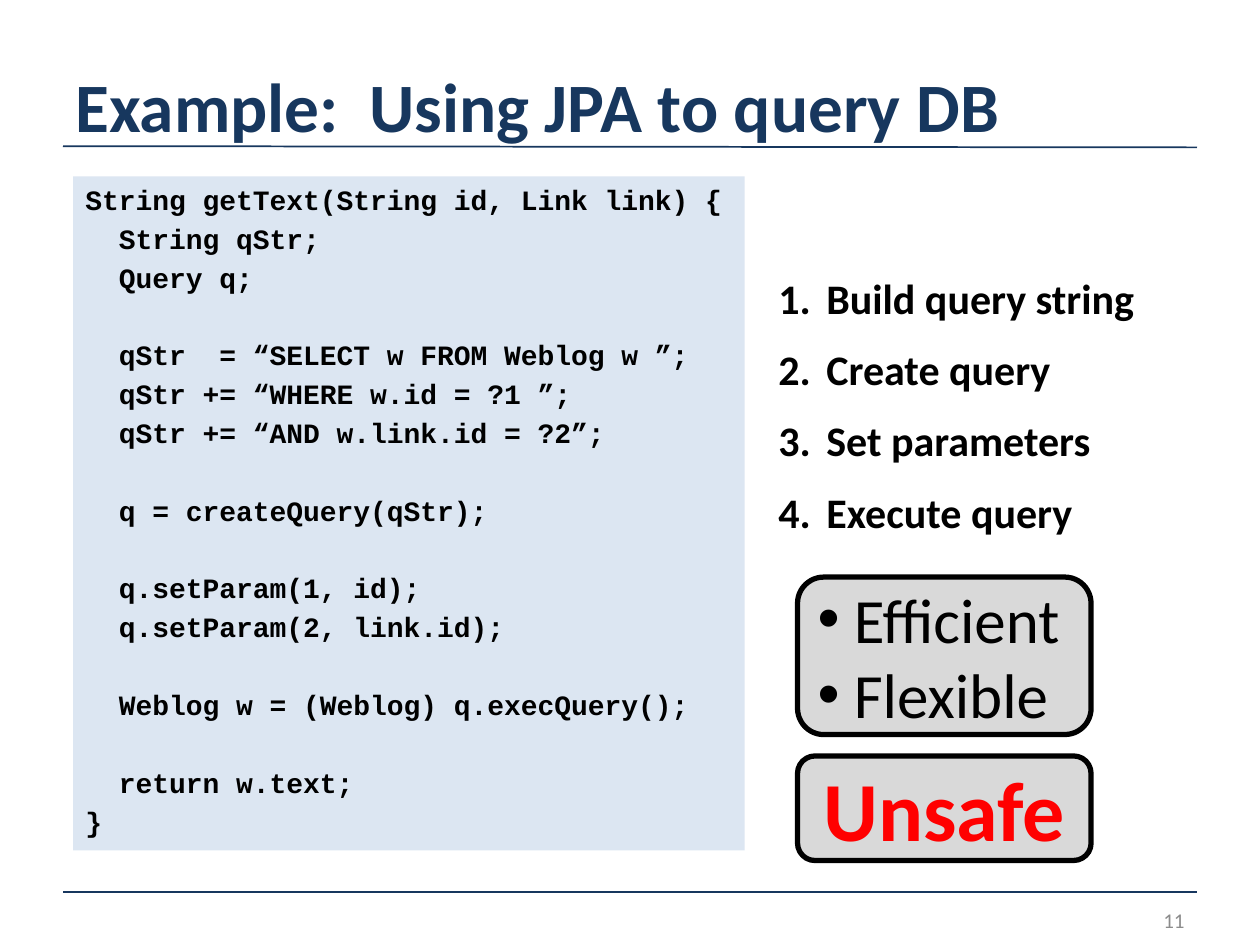
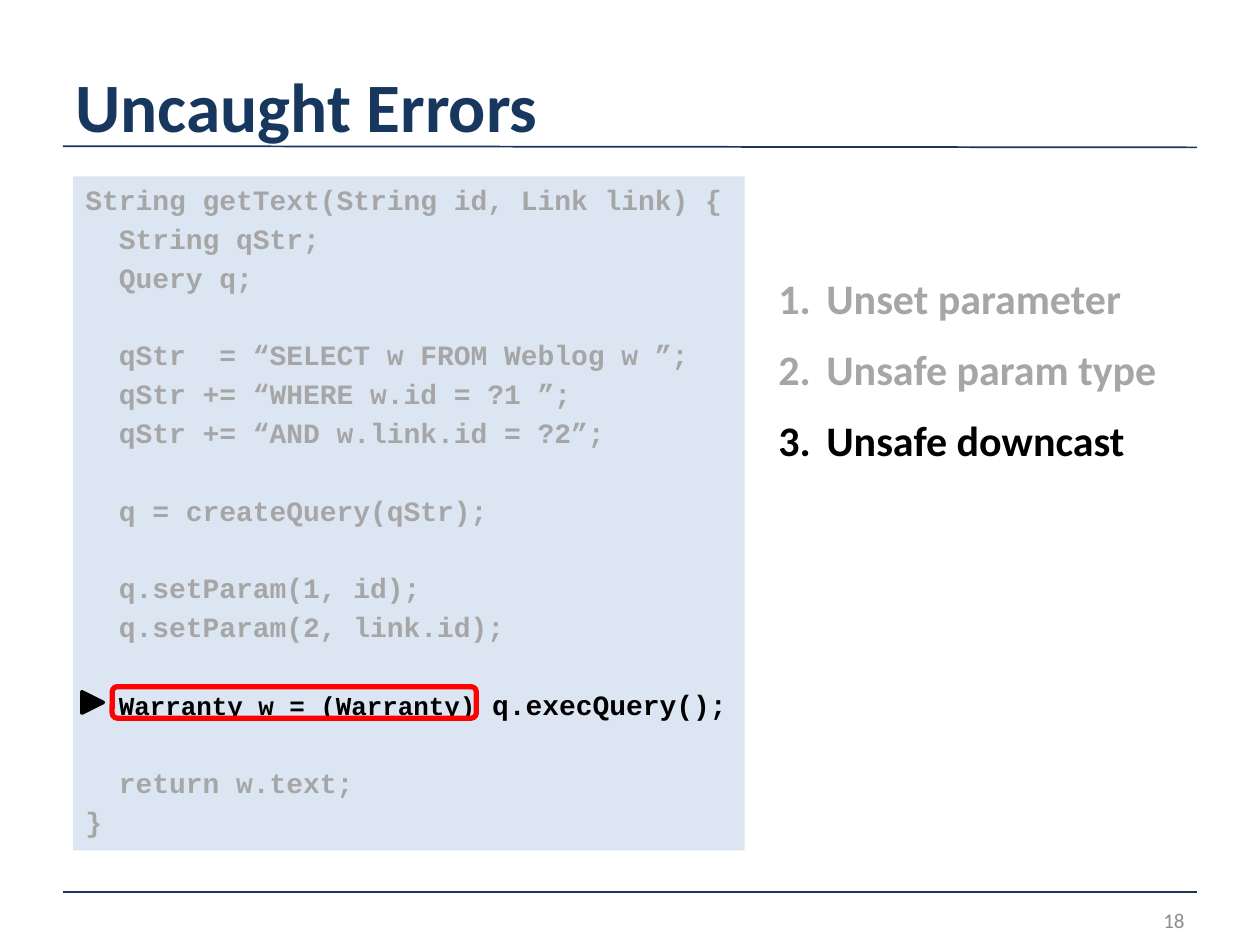
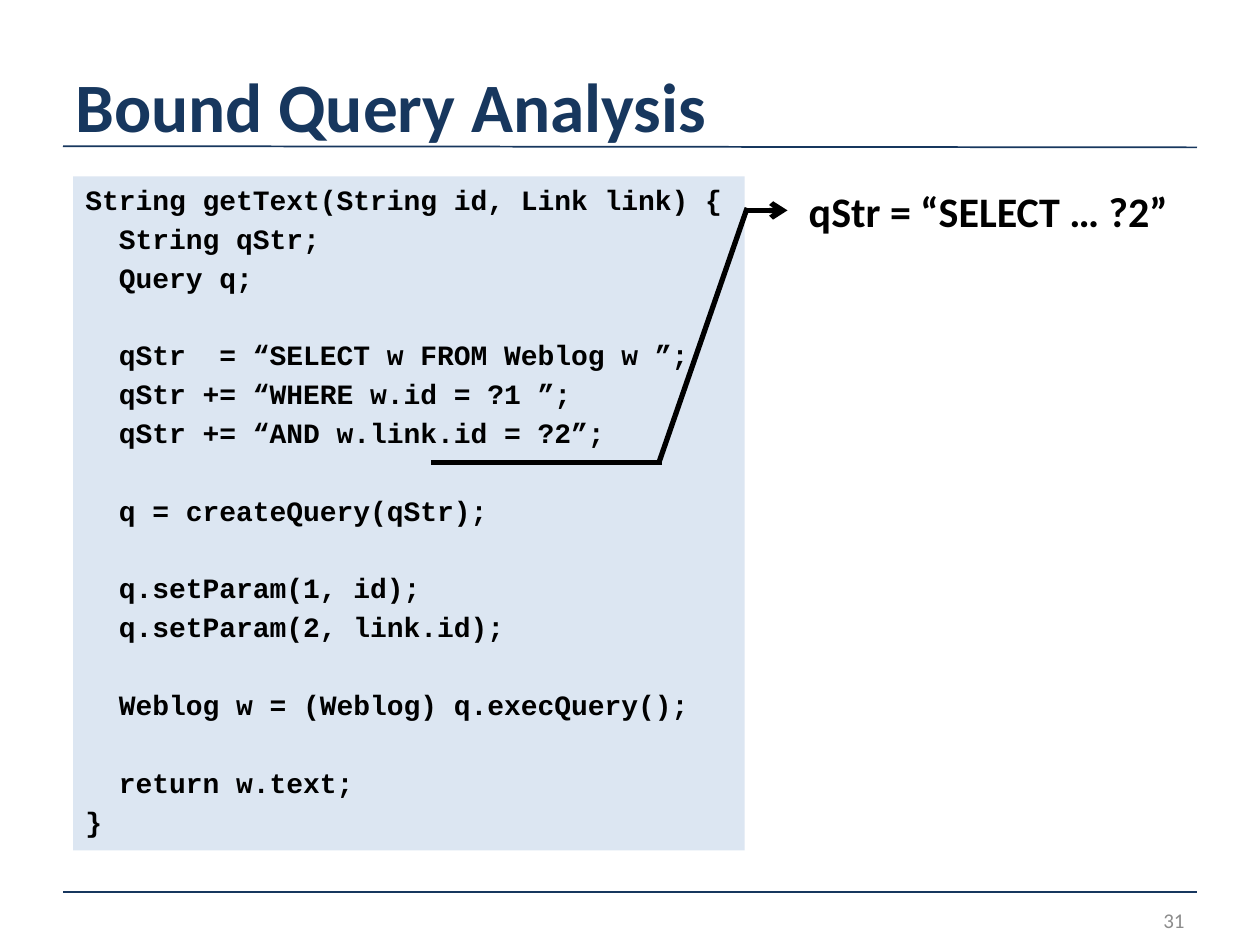
from pptx import Presentation
from pptx.dml.color import RGBColor
from pptx.enum import shapes, text
from pptx.oxml import ns, xmlchemy
from pptx.util import Inches, Pt

NAVY, BLACK, RED = "17375E", "000000", "FF0000"
PALE, SILVER, DIM, GREY = "DCE6F2", "D9D9D9", "A6A6A6", "8C8C8C"
SANS, MONO = "Calibri", "Courier New"
SHAPE, ALIGN, ANCHOR = shapes.MSO_SHAPE, text.PP_ALIGN, text.MSO_ANCHOR

CODE = """String getText(String id, Link link) {
  String qStr;
  Query q;

  qStr  = “SELECT w FROM Weblog w ”;
  qStr += “WHERE w.id = ?1 ”;
  qStr += “AND w.link.id = ?2”;

  q = createQuery(qStr);

  q.setParam(1, id);
  q.setParam(2, link.id);

  Weblog w = (Weblog) q.execQuery();

  return w.text;
}"""
CODE_GAP = 3
CODE_STEP = 22.2  # one code line with its gap, in points


def color(code):
    return RGBColor.from_string(code)


def style(run, size, hue=BLACK, bold=False, face=SANS):
    font = run.font
    font.name, font.size, font.bold = face, Pt(size), bold
    font.color.rgb = color(hue)


def write(par, words, *look, **more):
    run = par.add_run()
    run.text = words
    style(run, *look, **more)


def lines(frame, count):
    """Return the first count paragraphs of an empty frame."""
    for _ in range(count - 1):
        frame.add_paragraph()
    return frame.paragraphs


def label(slide, box, words, *look, align=ALIGN.LEFT, anchor=ANCHOR.MIDDLE,
          wrap=True, **more):
    frame = slide.shapes.add_textbox(*map(Inches, box)).text_frame
    frame.word_wrap, frame.vertical_anchor = wrap, anchor
    par = frame.paragraphs[0]
    par.alignment = align
    write(par, words, *look, **more)


def block(slide, kind, box, fill=None, edge=None, width=3):
    """Add a preset shape with left-aligned text space."""
    item = slide.shapes.add_shape(kind, *map(Inches, box))
    item.shadow.inherit = False
    if fill:
        item.fill.solid()
        item.fill.fore_color.rgb = color(fill)
    else:
        item.fill.background()
    if edge:
        item.line.color.rgb = color(edge)
        item.line.width = Pt(width)
    else:
        item.line.fill.background()
    return item


def stroke(slide, start, end, hue=BLACK, width=3, arrow=False):
    link = slide.shapes.add_connector(
        shapes.MSO_CONNECTOR.STRAIGHT, *map(Inches, start + end))
    link.line.color.rgb = color(hue)
    link.line.width = Pt(width)
    if arrow:
        tail = xmlchemy.OxmlElement("a:tailEnd")
        tail.set("type", "arrow")
        link.line._get_or_add_ln().append(tail)
    link._element.spPr.append(xmlchemy.OxmlElement("a:effectLst"))


def bullet(par, mark=None, indent=0):
    """Give a paragraph a mark, or a number when there is no mark."""
    props = par._p.get_or_add_pPr()
    props.set("marL", str(Inches(indent)))
    props.set("indent", str(-Inches(indent)))
    face = xmlchemy.OxmlElement("a:buFont")
    face.set("typeface", "Arial" if mark else "+mj-lt")
    sign = xmlchemy.OxmlElement("a:buChar" if mark else "a:buAutoNum")
    sign.set("char" if mark else "type", mark or "arabicPeriod")
    props.extend([face, sign])


def page(deck, title, number):
    slide = deck.slides.add_slide(deck.slide_layouts[6])
    stroke(slide, (0.5, 1.16), (9.5, 1.17), NAVY, 1)
    stroke(slide, (0.5, 7.08), (9.5, 7.08), NAVY, 1)
    label(slide, (0.5, 0.5, 9, 0.67), title, 39.6, NAVY, True)
    label(slide, (7.17, 7.1, 2.33, 0.4), str(number), 12, GREY,
          align=ALIGN.RIGHT)
    return slide


def listing(slide, hue=BLACK, swap=None):
    """Show the code; swap replaces one line, by its start, with sized parts."""
    frame = block(slide, SHAPE.RECTANGLE, (0.58, 1.4, 5.33, 5.35),
                  PALE).text_frame
    frame.word_wrap, frame.vertical_anchor = True, ANCHOR.TOP
    rows, gap = [], CODE_GAP
    for row in CODE.split("\n"):
        if row:
            rows.append((row, gap))
            gap = CODE_GAP
        else:
            gap += CODE_STEP
    for par, (row, gap) in zip(lines(frame, len(rows)), rows):
        par.alignment, par.space_before = ALIGN.LEFT, Pt(gap)
        if swap and row.startswith(swap[0]):
            for part, size in swap[1]:
                write(par, part, size, BLACK, True, MONO)
        else:
            write(par, row, 16, hue, True, MONO)


def steps(slide, items, height):
    """Number the items, each a text and its colour."""
    box = slide.shapes.add_textbox(*map(Inches, (6.08, 2.11, 3.42, height)))
    frame = box.text_frame
    frame.word_wrap = True
    for par, (words, hue) in zip(lines(frame, len(items)), items):
        par.space_after = Pt(12)
        bullet(par, indent=0.38)
        write(par, words, 24, hue, True)


def verdict(slide, top, height, items, *look, mark=None):
    card = block(slide, SHAPE.ROUNDED_RECTANGLE, (6.33, top, 2.33, height),
                 SILVER, BLACK)
    frame = card.text_frame
    frame.vertical_anchor = ANCHOR.MIDDLE
    for par, words in zip(lines(frame, len(items)), items):
        par.alignment = ALIGN.LEFT if mark else ALIGN.CENTER
        if mark:
            bullet(par, mark)
        write(par, words, *look)


def example(deck):
    slide = page(deck, "Example:  Using JPA to query DB", 11)
    listing(slide)
    tasks = ("Build query string", "Create query", "Set parameters",
             "Execute query")
    steps(slide, [(task, BLACK) for task in tasks], 2.31)
    verdict(slide, 4.58, 1.25, [" Efficient", " Flexible"], 36, mark="•")
    verdict(slide, 6, 0.83, ["Unsafe"], 48, RED, True)


def errors(deck):
    slide = page(deck, "Uncaught Errors", 18)
    parts = [("  ", 16), ("Warranty w = (Warranty)", 14.8),
             (" q.execQuery();", 16)]
    listing(slide, DIM, ("  Weblog", parts))
    steps(slide, [("Unset parameter", DIM), ("Unsafe param type", DIM),
                  ("Unsafe downcast", BLACK)], 1.65)
    wedge = block(slide, SHAPE.ISOSCELES_TRIANGLE, (0.65, 5.49, 0.17, 0.17),
                  BLACK, BLACK, 2)
    wedge.rotation = 90
    block(slide, SHAPE.ROUNDED_RECTANGLE, (0.89, 5.45, 2.89, 0.25), edge=RED)


def bound(deck):
    slide = page(deck, "Bound Query Analysis", 31)
    listing(slide)
    label(slide, (6.32, 1.42, 3.08, 0.5), "qStr = “SELECT … ?2”", 24, BLACK,
          True, anchor=ANCHOR.TOP, wrap=False)
    stroke(slide, (3.42, 3.67), (5.25, 3.67))
    stroke(slide, (5.92, 1.67), (6.25, 1.67), arrow=True)
    stroke(slide, (5.93, 1.65), (5.23, 3.67))


def main():
    deck = Presentation()
    deck.slide_width, deck.slide_height = Inches(10), Inches(7.5)
    example(deck)
    errors(deck)
    bound(deck)
    deck.save("out.pptx")


if __name__ == "__main__":
    main()
